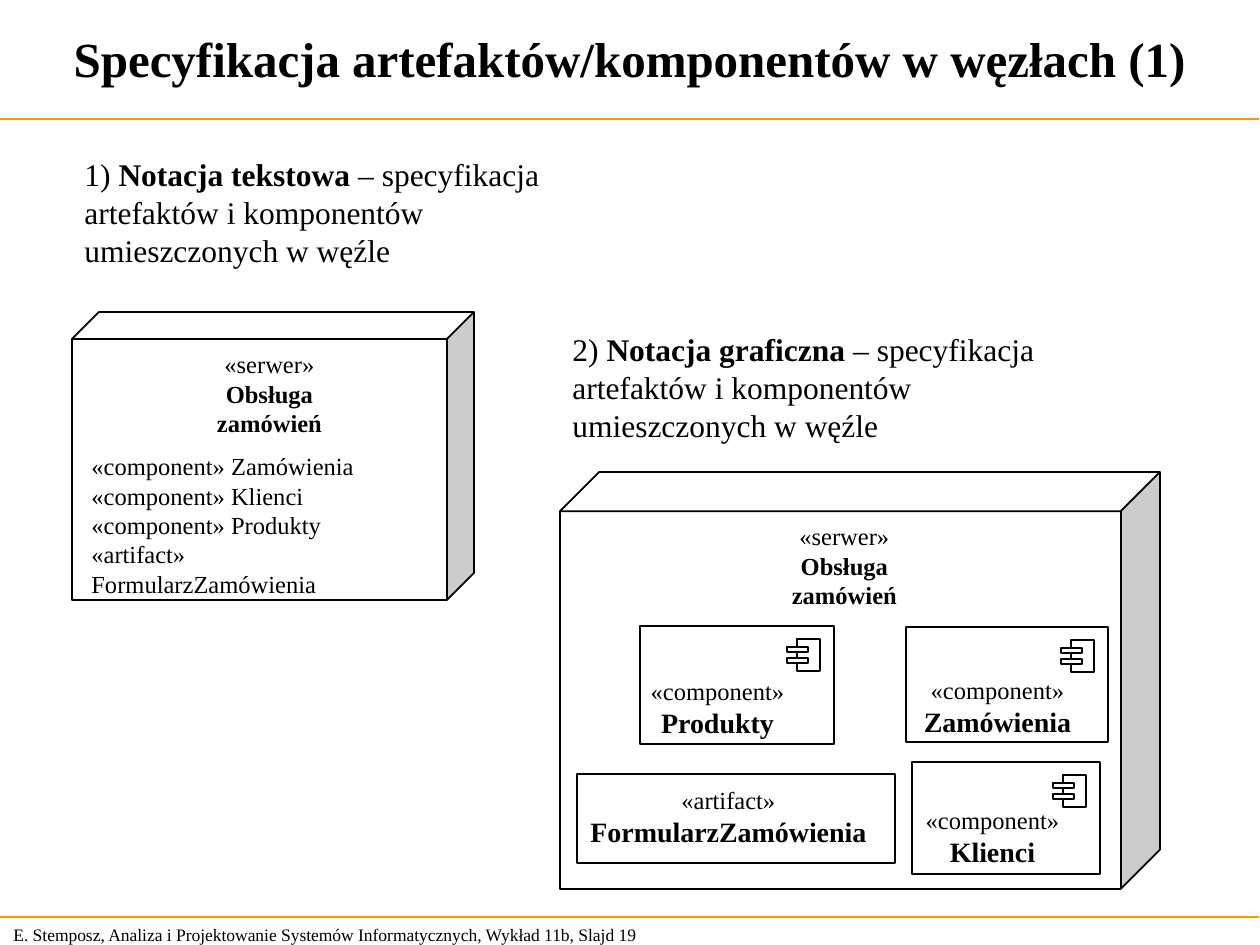
from collections import namedtuple
from dataclasses import dataclass

from lxml import etree
from pptx import Presentation
from pptx import util as u
from pptx.dml.color import RGBColor
from pptx.enum import shapes, text
from pptx.oxml.ns import qn

PX = 914400 / 126  # EMU in one px
CUBE_DEPTH = 0.094

Box = namedtuple("Box", "left top width height")
Run = namedtuple("Run", "words size bold", defaults=(False,))


@dataclass(frozen=True)
class Theme:
    font: str = "Times New Roman"
    ink: RGBColor = RGBColor(0, 0, 0)
    paper: RGBColor = RGBColor(255, 255, 255)
    accent: RGBColor = RGBColor(255, 153, 0)
    title: int = 28
    note: int = 18
    name: int = 16
    body: int = 14
    footer: int = 10
    outline: float = 1
    rule: float = 0.75


THEME = Theme()


def px(length):
    return u.Emu(round(length * PX))


def add_text(slide, box, paragraphs, align=text.PP_ALIGN.LEFT, wrap=True,
             anchor=text.MSO_ANCHOR.TOP):
    """Place paragraphs, each given as a list of runs."""
    frame = slide.shapes.add_textbox(*map(px, box)).text_frame
    frame.word_wrap = wrap
    frame.vertical_anchor = anchor
    for index, runs in enumerate(paragraphs):
        paragraph = frame.paragraphs[0] if index == 0 else frame.add_paragraph()
        paragraph.alignment = align
        for words, size, bold in runs:
            run = paragraph.add_run()
            run.text = words
            run.font.name = THEME.font
            run.font.size = u.Pt(size)
            run.font.bold = bold
            run.font.color.rgb = THEME.ink


def add_outlined(slide, box, kind=shapes.MSO_SHAPE.RECTANGLE, filled=True):
    shape = slide.shapes.add_shape(kind, *map(px, box))
    shape.shadow.inherit = False
    if filled:
        shape.fill.solid()
        shape.fill.fore_color.rgb = THEME.paper
    else:
        shape.fill.background()
    shape.line.color.rgb = THEME.ink
    shape.line.width = u.Pt(THEME.outline)
    return shape


def add_rule(slide, top, width):
    line = slide.shapes.add_connector(
        shapes.MSO_CONNECTOR.STRAIGHT, 0, px(top), px(width), px(top))
    line.line.color.rgb = THEME.accent
    line.line.width = u.Pt(THEME.rule)
    etree.SubElement(line._element.spPr, qn("a:effectLst"))


def add_title(slide, box, words):
    add_text(slide, box, [[Run(words, THEME.title, True)]],
             text.PP_ALIGN.CENTER, anchor=text.MSO_ANCHOR.MIDDLE)


def add_footer(slide, box, words):
    add_text(slide, box, [[Run(words, THEME.footer)]],
             anchor=text.MSO_ANCHOR.MIDDLE)


def add_note(slide, box, number, notation):
    add_text(slide, box, [[
        Run(f"{number}) ", THEME.note),
        Run(notation, THEME.note, True),
        Run(" – specyfikacja artefaktów i komponentów umieszczonych w węźle",
            THEME.note),
    ]])


def add_label(slide, box, stereotype, name, name_size):
    add_text(slide, box, [[Run(stereotype, THEME.body)],
                          [Run(name, name_size, True)]],
             text.PP_ALIGN.CENTER, wrap=False)


def add_server_node(slide, box, header_shift):
    """Draw the cube; its header sits header_shift right of the face centre."""
    cube = add_outlined(slide, box, shapes.MSO_SHAPE.CUBE)
    cube.adjustments[0] = CUBE_DEPTH
    depth = CUBE_DEPTH * min(box.width, box.height)
    width = 223
    left = box.left + (box.width - depth - width) / 2 + header_shift
    add_label(slide, Box(left, box.top + depth + 4, width, 72),
              "«serwer»", "Obsługa zamówień", THEME.body)


def add_content_list(slide, box, entries):
    add_text(slide, box, [[Run(entry, THEME.body)] for entry in entries],
             wrap=False)


def add_component_icon(slide, left, top):
    add_outlined(slide, Box(left + 10, top, 23, 32), filled=False)
    for offset in (8, 19):
        add_outlined(slide, Box(left, top + offset, 21, 5))


def add_element(slide, box, stereotype, name, label_left, label_top, label_width):
    """Draw a component or artifact; the label is offset from the box corner."""
    add_outlined(slide, box, filled=False)
    label = Box(box.left + label_left, box.top + label_top, label_width, 76)
    add_label(slide, label, stereotype, name, THEME.name)
    if stereotype == "«component»":
        add_component_icon(slide, box.left + box.width - 47, box.top + 13)


def main():
    presentation = Presentation()
    presentation.slide_width, presentation.slide_height = px(1260), px(945)
    slide = presentation.slides.add_slide(presentation.slide_layouts[6])

    add_footer(slide, Box(1, 917, 660, 34),
               "E. Stemposz, Analiza i Projektowanie Systemów Informatycznych, "
               "Wykład 11b, Slajd 19")
    for top in (119, 917):
        add_rule(slide, top, 1259)
    add_title(slide, Box(0, 0, 1259, 116),
              "Specyfikacja artefaktów/komponentów w węzłach (1)")

    add_note(slide, Box(72, 149, 499, 126), 1, "Notacja tekstowa")
    add_server_node(slide, Box(72, 312, 402, 288), 10)
    add_content_list(slide, Box(79, 445, 350, 131), [
        "«component» Zamówienia",
        "«component» Klienci",
        "«component» Produkty",
        "«artifact» FormularzZamówienia",
    ])

    add_note(slide, Box(560, 324, 499, 126), 2, "Notacja graficzna")
    add_server_node(slide, Box(560, 472, 600, 417), 4)
    for element in (
        (Box(906, 627, 202, 115), "«component»", "Zamówienia", 5, 42, 173),
        (Box(912, 762, 188, 112), "«component»", "Klienci", 1, 37, 159),
        (Box(640, 626, 194, 118), "«component»", "Produkty", -2, 44, 159),
        (Box(577, 774, 318, 89), "«artifact»", "FormularzZamówienia", 1, 5, 301),
    ):
        add_element(slide, *element)

    presentation.save("out.pptx")


if __name__ == "__main__":
    main()
